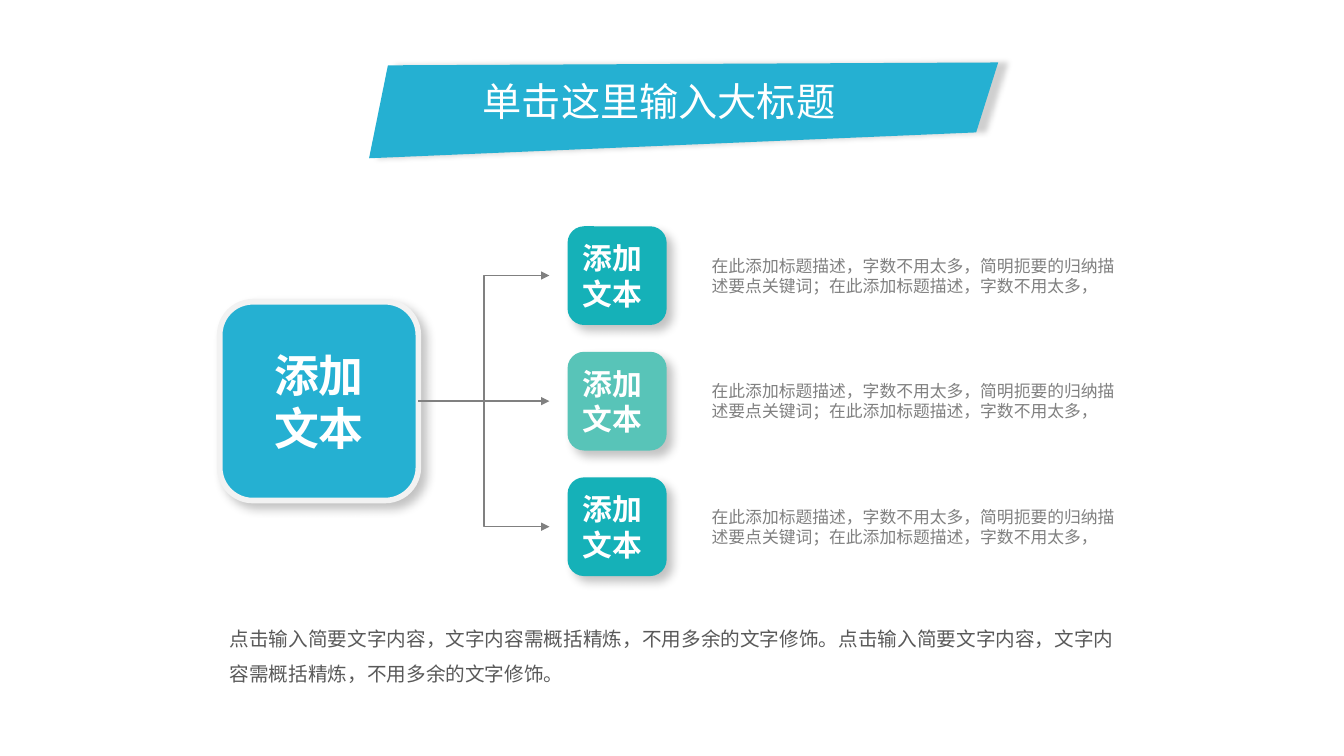
from pptx import Presentation
from pptx.dml.color import RGBColor
from pptx.enum.shapes import MSO_CONNECTOR as Link, MSO_SHAPE as Kind
from pptx.enum.text import MSO_ANCHOR as Anchor, PP_ALIGN as Align
from pptx.oxml import parse_xml
from pptx.oxml.ns import nsdecls, qn
from pptx.util import Inches, Pt

FONT = "Noto Sans CJK SC"
BLUE, TEAL, MINT = "25B0D2", "15B1B8", "58C4B8"
WHITE, PALE, GREY, DARK = "FFFFFF", "F2F2F2", "808080", "595959"
LABEL = ["添加", "文本"]
HEAD = "单击这里输入大标题"
HINT = ("在此添加标题描述，字数不用太多，简明扼要的归纳描述要点关键词；"
        "在此添加标题描述，字数不用太多，")
NOTE = "点击输入简要文字内容，文字内容需概括精炼，不用多余的文字修饰。"


def color(code):
    """Turn a hex string into a colour."""
    return RGBColor.from_string(code)


def part(box, x, y, w, h):
    """Return the part of a box given in percent of its size."""
    left, top, wide, high = box
    return (int(left + wide * x / 100), int(top + high * y / 100),
            int(wide * w / 100), int(high * h / 100))


def write(shape, lines, size, code, bold=False, align=Align.LEFT, gap=None):
    """Fill a shape with one paragraph for each line."""
    frame = shape.text_frame
    for i, line in enumerate(lines):
        para = frame.add_paragraph() if i else frame.paragraphs[0]
        para.alignment = align
        if gap:
            para.line_spacing = gap
        run = para.add_run()
        run.text = line
        font = run.font
        font.size, font.bold, font.name = Pt(size), bold, FONT
        font.color.rgb = color(code)
        east = run._r.get_or_add_rPr().makeelement(qn("a:ea"), {"typeface": FONT})
        run._r.rPr.append(east)


def shade(shape, alpha, blur, dist, angle):
    """Give a shape a soft black outer shadow."""
    shape.shadow.inherit = False
    shape._element.spPr.find(qn("a:effectLst")).append(parse_xml(
        f'<a:outerShdw {nsdecls("a")} blurRad="{Pt(blur)}" dist="{Pt(dist)}" '
        f'dir="{angle * 60000}" algn="tl" rotWithShape="0">'
        f'<a:srgbClr val="000000"><a:alpha val="{alpha * 1000}"/></a:srgbClr>'
        f'</a:outerShdw>'))


def text(slide, box, line, size, code, wrap=True, gap=None):
    """Place a text box."""
    area = slide.shapes.add_textbox(*box)
    area.text_frame.word_wrap = wrap
    write(area, [line], size, code, gap=gap)


def tile(slide, box, fill, size, align, edge=None):
    """Place a rounded tile with a bold label."""
    shape = slide.shapes.add_shape(Kind.ROUNDED_RECTANGLE, *box)
    shape.fill.solid()
    shape.fill.fore_color.rgb = color(fill)
    if edge:
        shape.line.color.rgb, shape.line.width = color(edge), Pt(4)
    else:
        shape.line.fill.background()
    shade(shape, 23, 7, 5.9, 45)
    shape.text_frame.vertical_anchor = Anchor.MIDDLE
    write(shape, LABEL, size, WHITE, True, align)


def arrow(slide, start, end):
    """Link two points, with a bend when their heights differ."""
    kind = Link.STRAIGHT if start[1] == end[1] else Link.ELBOW
    link = slide.shapes.add_connector(kind, *start, *end)
    link.line.color.rgb, link.line.width = color(GREY), Pt(1)
    link.line._get_or_add_ln().append(
        parse_xml(f'<a:tailEnd {nsdecls("a")} type="triangle"/>'))
    link._element.spPr.append(parse_xml(f'<a:effectLst {nsdecls("a")}/>'))


def banner(slide, box):
    """Draw the slanted title banner."""
    edge = [(3, 3), (0, 100), (96.5, 73), (100, 0)]
    dots = [part(box, x, y, 0, 0)[:2] for x, y in edge]
    pen = slide.shapes.build_freeform(*dots[0])
    pen.add_line_segments(dots[1:], close=True)
    shape = pen.convert_to_shape()
    shape.fill.solid()
    shape.fill.fore_color.rgb = color(BLUE)
    shape.line.fill.background()
    shade(shape, 19, 4, 6, 0)
    text(slide, part(box, 16.5, 10.4, 60, 59.4), HEAD, 28, WHITE, wrap=False)


def tree(slide, box):
    """Draw the main tile, its arrows, and one row for each branch."""
    fills, step, high = [TEAL, MINT, TEAL], 36, 28.3
    tile(slide, part(box, 0, 21.5, 21.65, 57), BLUE, 32, Align.CENTER, PALE)
    start = part(box, 21.65, 50, 0, 0)[:2]
    for i, fill in enumerate(fills):
        mid = 50 + (i - 1) * step
        arrow(slide, start, part(box, 35.93, mid, 0, 0)[:2])
        tile(slide, part(box, 37.91, mid - high / 2, 10.8, high),
             fill, 21.3, Align.LEFT)
        text(slide, part(box, 52.53, mid - 7.2, 47.47, 14.4), HINT, 12, GREY)


def build():
    """Make the slide and save it."""
    deck = Presentation()
    deck.slide_width, deck.slide_height = Inches(13.33), Inches(7.5)
    page = (0, 0, deck.slide_width, deck.slide_height)
    slide = deck.slides.add_slide(deck.slide_layouts[6])
    banner(slide, part(page, 27.46, 8.27, 46.81, 12.67))
    tree(slide, part(page, 16.35, 30, 68.27, 46.13))
    text(slide, part(page, 16.35, 80.67, 68.27, 10.8), NOTE * 2, 14, DARK, gap=1.5)
    deck.save("out.pptx")


build()
